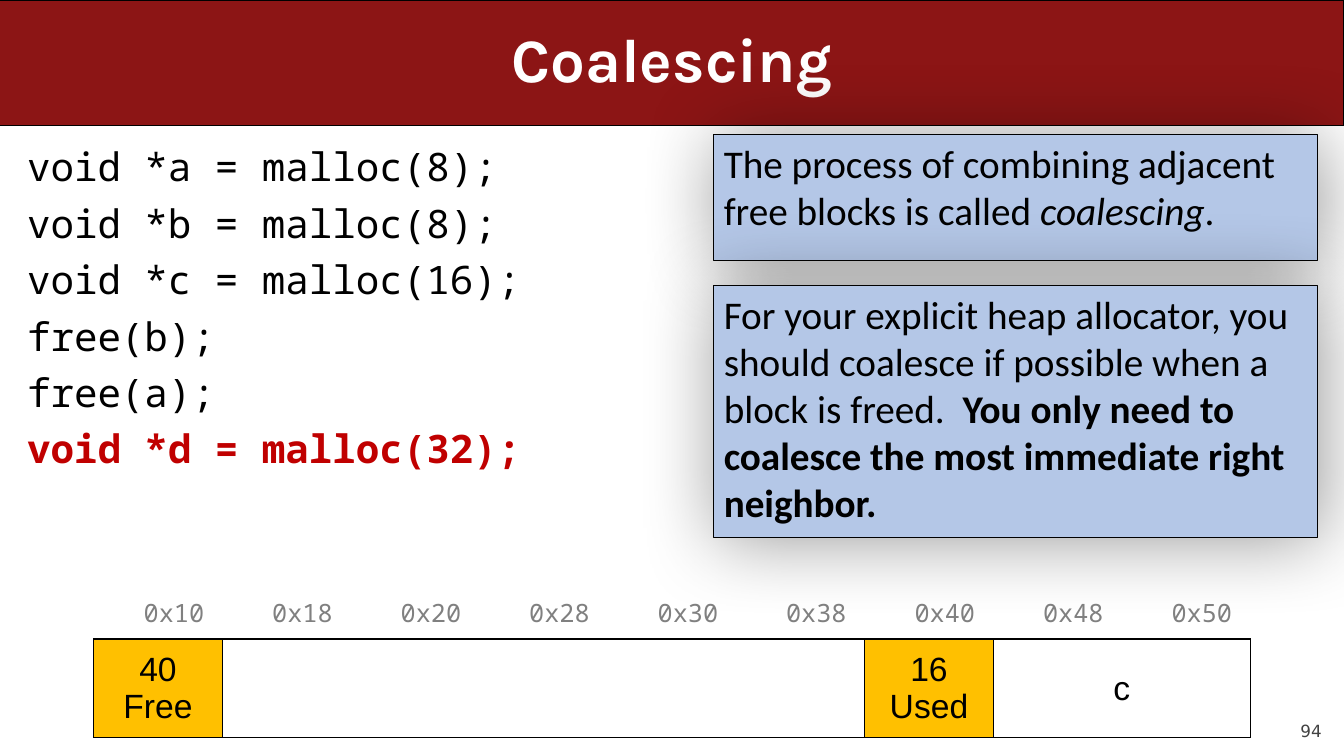
from lxml import etree
from pptx import Presentation
from pptx.dml.color import RGBColor
from pptx.enum.shapes import MSO_SHAPE
from pptx.enum.text import MSO_ANCHOR, PP_ALIGN
from pptx.oxml import parse_xml
from pptx.oxml.ns import nsdecls, qn
from pptx.util import Inches, Pt

RECT = MSO_SHAPE.RECTANGLE
TOP, MID, LOW = MSO_ANCHOR.TOP, MSO_ANCHOR.MIDDLE, MSO_ANCHOR.BOTTOM
LEFT, MID_X, RIGHT = PP_ALIGN.LEFT, PP_ALIGN.CENTER, PP_ALIGN.RIGHT

# Content
TITLE = "Coalescing"
PAGE = "94"
CODE = [
    ("void *a = malloc(8);", "code"),
    ("void *b = malloc(8);", "code"),
    ("void *c = malloc(16);", "code"),
    ("free(b);", "code"),
    ("free(a);", "code"),
    ("void *d = malloc(32);", "hot"),
]
# Each note: top and height in grid rows, then its runs
NOTES = [
    (1.33, 1.25, [("The process of combining adjacent free blocks is called ", "note"),
                  ("coalescing", "term"), (".", "note")]),
    (2.83, 2.5, [("For your explicit heap allocator, you should coalesce if possible "
                  "when a block is freed.  ", "note"),
                 ("You only need to coalesce the most immediate right neighbor.", "key")]),
]
START, STEP, WORDS = 0x10, 8, 9
# Each heap block: columns spanned, lines of text, is it a header
HEAP = [(1, ["40", "Free"], True), (5, [], False),
        (1, ["16", "Used"], True), (2, ["c"], False)]

# Theme
WIDE, HIGH = 13.33, 7.5
HEAD = HIGH / 6
FILL = {"bar": "8C1515", "note": "B4C7E7", "head": "FFC000", "line": "000000"}
MONO, SANS = "Noto Sans Mono", "Calibri"
FONT = {
    "title": {"name": "Karla", "size": 44, "color": "FFFFFF", "bold": True},
    "code": {"name": MONO, "size": 28, "color": "000000"},
    "hot": {"name": MONO, "size": 28, "color": "C00000", "bold": True},
    "note": {"name": SANS, "size": 28, "color": "000000"},
    "term": {"name": SANS, "size": 28, "color": "000000", "italic": True},
    "key": {"name": SANS, "size": 28, "color": "000000", "bold": True},
    "addr": {"name": MONO, "size": 18, "color": "808080"},
    "cell": {"name": "Arial", "size": 24, "color": "000000"},
    "page": {"name": "DejaVu Sans", "size": 12, "color": "424242"},
}


def style(font, kind):
    for key, val in FONT[kind].items():
        if key == "color":
            font.color.rgb = RGBColor.from_string(val)
        else:
            setattr(font, key, Pt(val) if key == "size" else val)


def write(frame, paras, align=LEFT, space=None, gap=0):
    """Fill a text frame; each paragraph is a list of (text, kind) runs."""
    for i, runs in enumerate(paras):
        para = frame.add_paragraph() if i else frame.paragraphs[0]
        para.alignment = align
        if space:
            para.line_spacing = space
        if i and gap:
            para.space_before = Pt(gap)
        for text, kind in runs:
            run = para.add_run()
            run.text = text
            style(run.font, kind)


def text_box(place, anchor, inset=None):
    frame = slide.shapes.add_textbox(*map(Inches, place)).text_frame
    frame.word_wrap = True
    frame.vertical_anchor = anchor
    if inset is not None:
        pad(frame, inset, inset)
    return frame


def pad(item, x, y):
    item.margin_left = item.margin_right = Inches(x)
    item.margin_top = item.margin_bottom = Inches(y)


def block(place, fill):
    shape = slide.shapes.add_shape(RECT, *map(Inches, place))
    shape.shadow.inherit = False
    shape.fill.solid()
    shape.fill.fore_color.rgb = RGBColor.from_string(FILL[fill])
    shape.line.color.rgb = RGBColor.from_string(FILL["line"])
    shape.line.width = Pt(0.75)
    return shape


def glow(shape):
    """Soft outer shadow."""
    effect = shape._element.spPr.find(qn("a:effectLst"))
    effect.append(parse_xml(
        f'<a:outerShdw {nsdecls("a")} blurRad="{Pt(58)}" dist="{Pt(3)}" dir="2700000" '
        'algn="tl" rotWithShape="0"><a:srgbClr val="000000"><a:alpha val="40000"/>'
        '</a:srgbClr></a:outerShdw>'))


def edge(cell, sides):
    props = cell._tc.get_or_add_tcPr()
    for side in sides:
        line = etree.SubElement(props, qn(f"a:ln{side}"), w=str(Pt(1)))
        fill = etree.SubElement(line, qn("a:solidFill"))
        etree.SubElement(fill, qn("a:srgbClr"), val=FILL["line"])


deck = Presentation()
deck.slide_width, deck.slide_height = Inches(WIDE), Inches(HIGH)
slide = deck.slides.add_slide(deck.slide_layouts[6])

# Page number, title bar and title
write(text_box((12, 6.95, 1.11, 0.4), LOW, 0), [[(PAGE, "page")]], RIGHT)
block((0, 0, WIDE, HEAD), "bar")
write(text_box((0.5, 0, WIDE - 1, HEAD), MID), [[(TITLE, "title")]], MID_X, 0.9)

# Code
write(text_box((0.17, 1.42, 12.92, 4.17), TOP), [[line] for line in CODE],
      space=0.9, gap=10)

# Notes
for top, tall, runs in NOTES:
    note = block((7.08, top, 5.99, tall), "note")
    glow(note)
    note.text_frame.word_wrap = True
    note.text_frame.vertical_anchor = TOP
    write(note.text_frame, [runs])

# Heap table: addresses above, blocks below
frame = slide.shapes.add_table(2, WORDS, *map(Inches, (0.93, 5.58, 11.47, 1.52)))
heap = frame.table
heap.first_row = heap.horz_banding = False
heap._tbl.tblPr.find(qn("a:tableStyleId")).text = "{2D5ABB26-0587-4C30-8999-92F81FD0307C}"
for row in heap.rows:
    row.height = Inches(0.76)
for col in range(WORDS):
    addr, word = heap.cell(0, col), heap.cell(1, col)
    edge(addr, "B")
    edge(word, "LRTB")
    for cell, anchor in ((addr, LOW), (word, MID)):
        pad(cell, 0.18, 0.09)
        cell.vertical_anchor = anchor
        cell.fill.background()
    write(addr.text_frame, [[(f"0x{START + col * STEP:02x}", "addr")]], RIGHT)

col = 0
for span, lines, is_head in HEAP:
    cell = heap.cell(1, col)
    if span > 1:
        cell.merge(heap.cell(1, col + span - 1))
    if is_head:
        cell.fill.solid()
        cell.fill.fore_color.rgb = RGBColor.from_string(FILL["head"])
    write(cell.text_frame, [[(line, "cell")] for line in lines], MID_X)
    col += span

deck.save("out.pptx")
